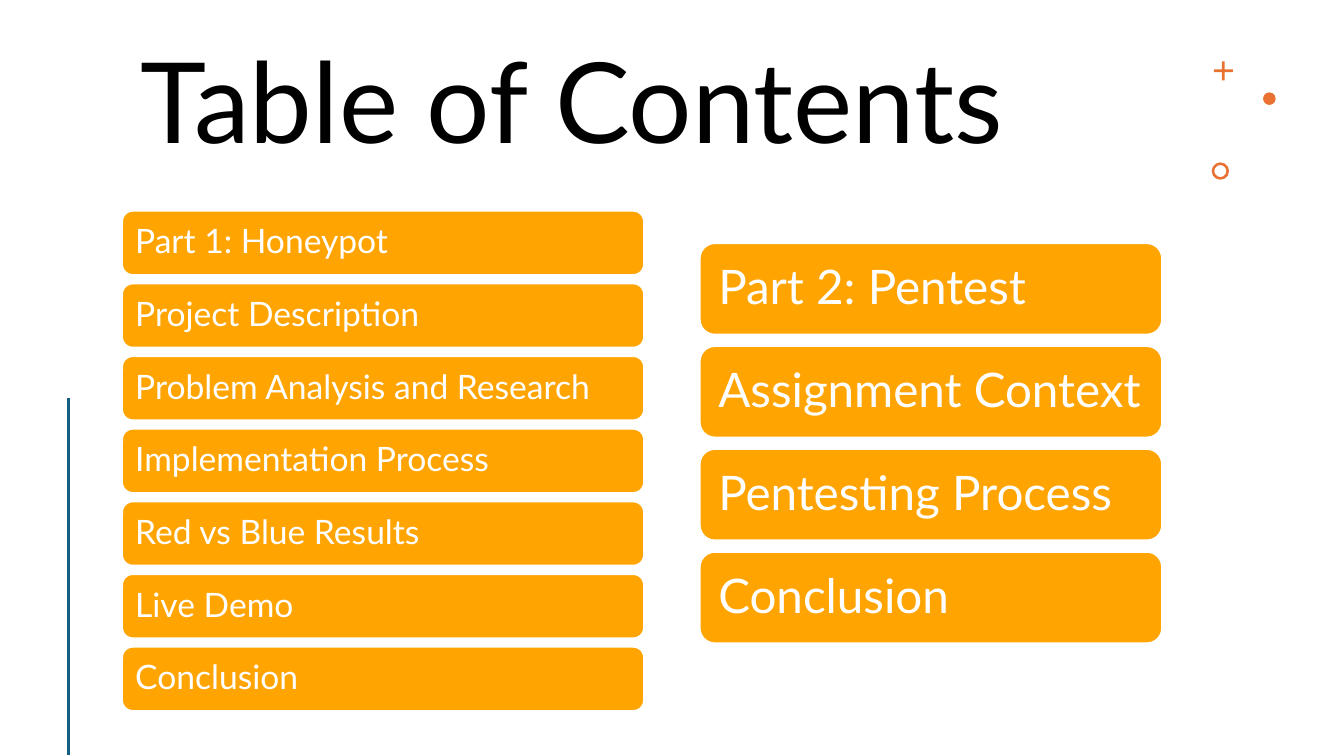
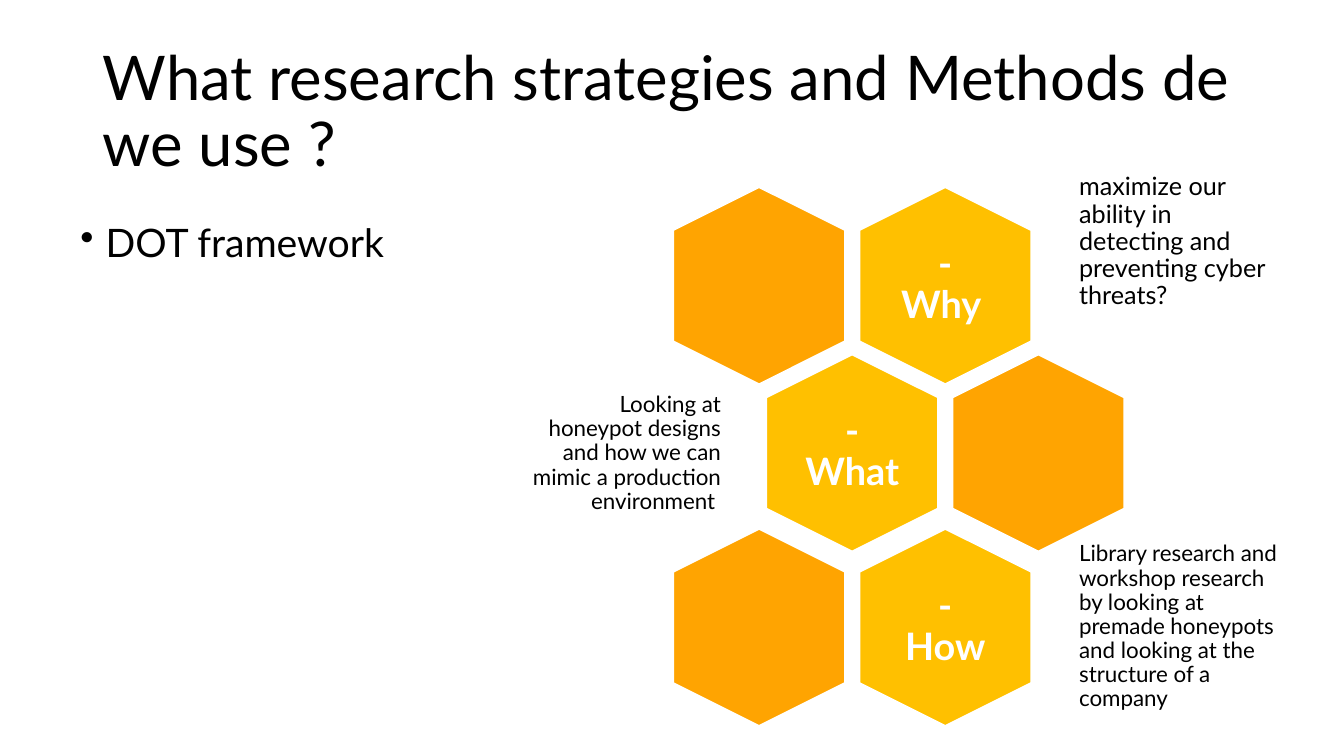
from lxml import etree
from pptx import Presentation
from pptx.dml.color import RGBColor
from pptx.enum.shapes import MSO_CONNECTOR, MSO_SHAPE
from pptx.enum.text import MSO_ANCHOR, PP_ALIGN
from pptx.oxml.ns import qn
from pptx.util import Pt

FONT = "Lato"
BLACK = RGBColor(0x00, 0x00, 0x00)
WHITE = RGBColor(0xFF, 0xFF, 0xFF)
ORANGE = RGBColor(0xFF, 0xA4, 0x01)
GOLD = RGBColor(0xFF, 0xC0, 0x00)
CORAL = RGBColor(0xE9, 0x71, 0x32)
TEAL = RGBColor(0x15, 0x60, 0x82)

ROUNDED = MSO_SHAPE.ROUNDED_RECTANGLE
HEXAGON = MSO_SHAPE.HEXAGON
CROSS = MSO_SHAPE.CROSS
OVAL = MSO_SHAPE.OVAL
DONUT = MSO_SHAPE.DONUT
STRAIGHT = MSO_CONNECTOR.STRAIGHT
TOP, MIDDLE = MSO_ANCHOR.TOP, MSO_ANCHOR.MIDDLE
LEFT, CENTER, RIGHT = PP_ALIGN.LEFT, PP_ALIGN.CENTER, PP_ALIGN.RIGHT

PART_ONE = [
    "Part 1: Honeypot",
    "Project Description",
    "Problem Analysis and Research",
    "Implementation Process",
    "Red vs Blue Results",
    "Live Demo",
    "Conclusion",
]
PART_TWO = ["Part 2: Pentest", "Assignment Context", "Pentesting Process", "Conclusion"]

HEXAGON_WIDTH, HEXAGON_HEIGHT = 141, 123
COLUMN_START, COLUMN_PITCH = 542.2, 133
HEXAGONS = [
    (0, 204.1, None),
    (1, 204.1, "- Why "),
    (0.5, 323.6, "- What"),
    (1.5, 323.6, None),
    (0, 448.2, None),
    (1, 448.2, "- How"),
]
CAPTIONS = [
    ("maximize our ability in detecting and preventing cyber threats?",
     (765.4, 119, 152.6, 108), 18, LEFT),
    ("Looking at honeypot designs and how we can mimic a production environment ",
     (367.2, 281.5, 152.6, 85), 16, RIGHT),
    ("Library research and workshop research by looking at premade honeypots "
     "and looking at the structure of a company",
     (766, 373, 157.7, 150), 16, LEFT),
]


class Deck:
    """Holds the shared style and the slide being drawn."""

    def __init__(self):
        self.presentation = Presentation()
        self.presentation.slide_width = Pt(960)
        self.presentation.slide_height = Pt(540)
        self.slide = None

    def new_slide(self):
        layout = self.presentation.slide_layouts[6]
        self.slide = self.presentation.slides.add_slide(layout)

    def fill_text(self, shape, text, size, color, align=LEFT, anchor=MIDDLE, bold=False, inset=None):
        frame = shape.text_frame
        frame.word_wrap = True
        frame.vertical_anchor = anchor
        if inset is not None:
            frame.margin_left = frame.margin_right = Pt(inset)
            frame.margin_top = frame.margin_bottom = Pt(inset)
        paragraph = frame.paragraphs[0]
        paragraph.text = text
        paragraph.alignment = align
        paragraph.line_spacing = 0.9
        font = paragraph.font
        font.name, font.size, font.bold = FONT, Pt(size), bold
        font.color.rgb = color
        return paragraph

    def text(self, text, box, size, color=BLACK, **style):
        shape = self.slide.shapes.add_textbox(*map(Pt, box))
        return self.fill_text(shape, text, size, color, **style)

    def title(self, text, box, size, anchor):
        self.text(text, box, size, anchor=anchor)

    def bullet(self, text, box, size):
        paragraph = self.text(text, box, size, anchor=TOP)
        paragraph.space_before = Pt(10)
        properties = paragraph._p.get_or_add_pPr()
        properties.set("marL", str(Pt(18)))
        properties.set("indent", str(Pt(-18)))
        mark = etree.Element(qn("a:buChar"), char="•")
        properties.find(qn("a:defRPr")).addprevious(mark)

    def shape(self, kind, box, fill, outline=None):
        shape = self.slide.shapes.add_shape(kind, *map(Pt, box))
        shape.shadow.inherit = False
        shape.fill.solid()
        shape.fill.fore_color.rgb = fill
        if outline is None:
            shape.line.fill.background()
        else:
            shape.line.color.rgb = outline
            shape.line.width = Pt(1.5)
        return shape

    def bars(self, labels, box, pitch, size):
        left, top, width, height = box
        for index, label in enumerate(labels):
            bar = self.shape(ROUNDED, (left, top + index * pitch, width, height), ORANGE, WHITE)
            self.fill_text(bar, label, size, WHITE, inset=0.3 * size)

    def hexagon(self, center_x, center_y, label):
        box = (center_x - HEXAGON_WIDTH / 2, center_y - HEXAGON_HEIGHT / 2,
               HEXAGON_WIDTH, HEXAGON_HEIGHT)
        self.shape(HEXAGON, box, GOLD if label else ORANGE, WHITE).rotation = 90
        if label:
            self.text(label, (center_x - 42, center_y - 48.6, 84, 97.2), 27, WHITE,
                      align=CENTER, bold=True, inset=8.1)

    def line(self, start, end, color, width):
        connector = self.slide.shapes.add_connector(STRAIGHT, *map(Pt, start + end))
        connector.line.color.rgb = color
        connector.line.width = Pt(width)
        etree.SubElement(connector._element.spPr, qn("a:effectLst"))

    def ornaments(self):
        plus = self.shape(CROSS, (867, 43.8, 13.6, 13.6), CORAL)
        plus.adjustments[0] = 0.43
        self.shape(OVAL, (902.2, 66, 9, 9), CORAL)
        ring = self.shape(DONUT, (865.5, 116, 12.4, 12.4), CORAL)
        ring.adjustments[0] = 0.15


def contents_slide(deck):
    deck.new_slide()
    deck.title("Table of Contents", (93.6, 30.2, 736.6, 94.3), 80, TOP)
    deck.ornaments()
    deck.line((49, 284.4), (49, 539.5), TEAL, 2)
    deck.bars(PART_TWO, (499.7, 173.6, 330.5, 65.5), 73.5, 34)
    deck.bars(PART_ONE, (87.1, 150.5, 373, 46), 51.9, 24)


def methods_slide(deck):
    deck.new_slide()
    deck.title("What research strategies and Methods de we use ?", (66.2, 28.8, 828, 104.4), 44, MIDDLE)
    deck.bullet("DOT framework", (50.4, 156.2, 275, 342.7), 28)
    for column, center_y, label in HEXAGONS:
        deck.hexagon(COLUMN_START + column * COLUMN_PITCH, center_y, label)
    for text, box, size, align in CAPTIONS:
        deck.text(text, box, size, align=align, inset=0.3 * size)


def main():
    deck = Deck()
    contents_slide(deck)
    methods_slide(deck)
    deck.presentation.save("out.pptx")


if __name__ == "__main__":
    main()
